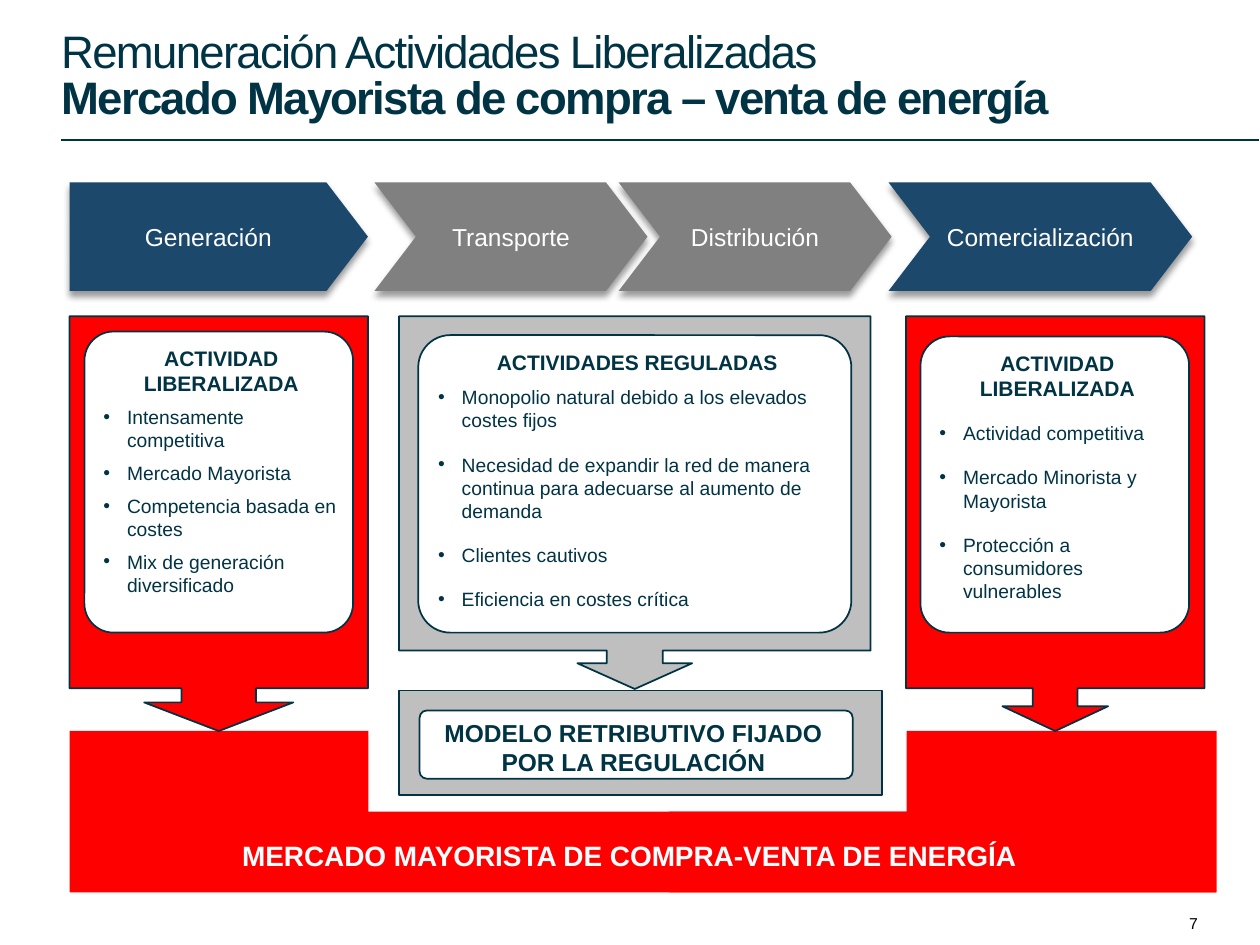
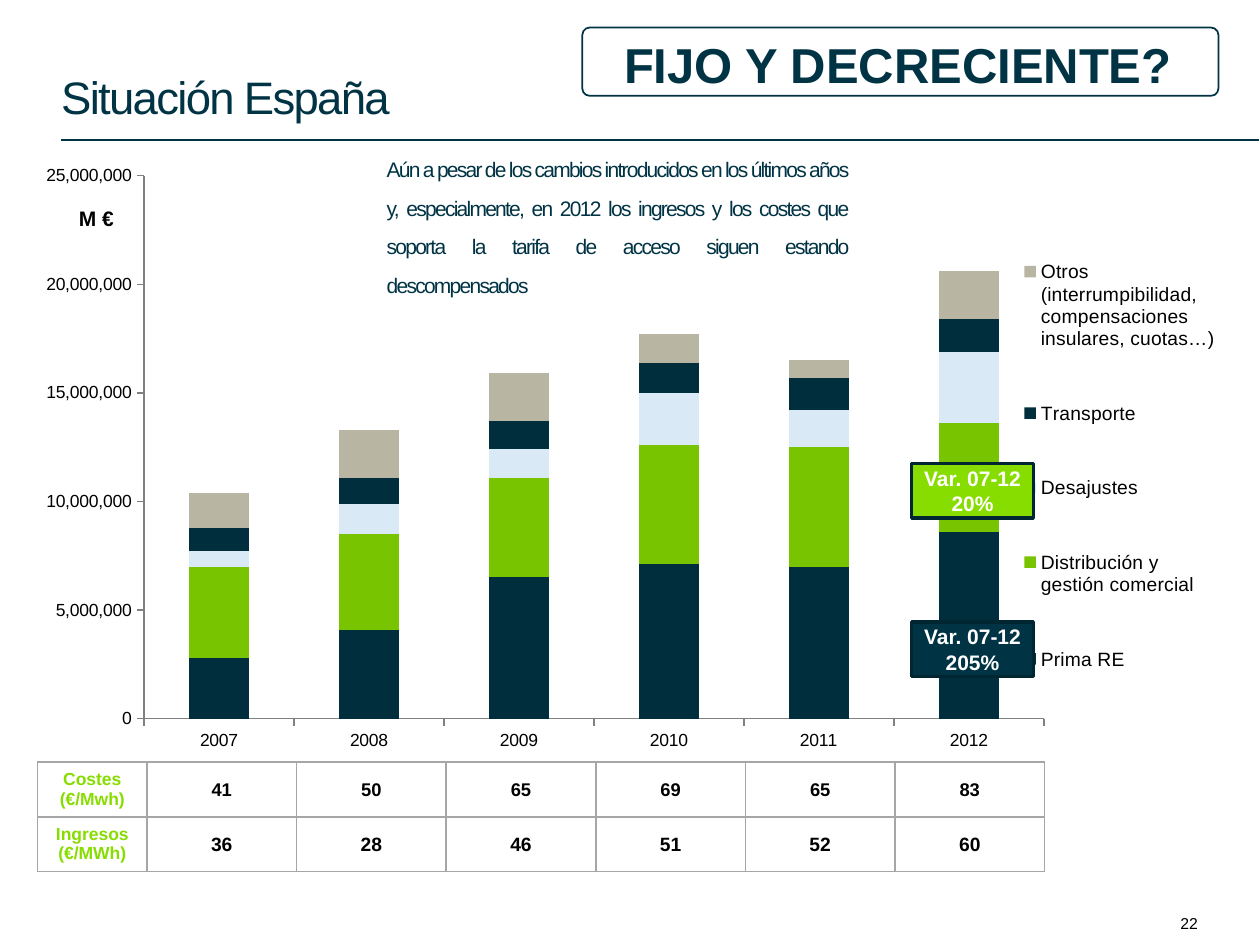
from lxml.etree import SubElement
from pptx import Presentation
from pptx.chart.data import CategoryChartData
from pptx.dml.color import RGBColor
from pptx.enum.chart import XL_CHART_TYPE as ChartType, XL_LEGEND_POSITION as LegendPosition
from pptx.enum.chart import XL_TICK_MARK as TickMark
from pptx.enum.shapes import MSO_CONNECTOR as Connector, MSO_SHAPE as Shape
from pptx.enum.text import MSO_ANCHOR as Anchor, PP_ALIGN as Align
from pptx.oxml.ns import qn
from pptx.util import Pt

TEAL = RGBColor(0x00, 0x33, 0x44)
DEEP_TEAL = RGBColor(0x00, 0x26, 0x32)
BLUE = RGBColor(0x1C, 0x48, 0x6B)
RED = RGBColor(0xFF, 0x00, 0x00)
GREEN = RGBColor(0x88, 0xDD, 0x00)
GRAY = RGBColor(0x80, 0x80, 0x80)
LIGHT_GRAY = RGBColor(0xBF, 0xBF, 0xBF)
BORDER_GRAY = RGBColor(0xA6, 0xA6, 0xA6)
WHITE = RGBColor(0xFF, 0xFF, 0xFF)
BLACK = RGBColor(0x00, 0x00, 0x00)
BAR_TEAL = RGBColor(0x00, 0x2E, 0x3D)
BAR_GREEN = RGBColor(0x78, 0xC4, 0x00)
BAR_SKY = RGBColor(0xD9, 0xE9, 0xF5)
BAR_SAND = RGBColor(0xB8, 0xB6, 0xA3)

FONT = "Arial"
ROUNDING = 0.108
BANNER_INSETS = (0, 3, 3, 0)
PANEL_INSETS = (6, 3, 3, 3)
TITLE_INSETS = (0, 3.6, 7.2, 0)


def write(frame, text, size=12, color=TEAL, bold=False, align=Align.LEFT,
          before=0, after=0, line=None, tracking=0, bullet=False):
    """Add one paragraph, using the frame's empty first one if it is free."""
    first = frame.paragraphs[0]
    paragraph = frame.add_paragraph() if first.runs else first
    if bullet:
        properties = paragraph._p.get_or_add_pPr()
        properties.set("marL", str(Pt(13.5)))
        properties.set("indent", str(-Pt(13.5)))
        SubElement(properties, qn("a:buFont")).set("typeface", FONT)
        SubElement(properties, qn("a:buChar")).set("char", "•")
    paragraph.alignment = align
    paragraph.space_before, paragraph.space_after = Pt(before), Pt(after)
    if line:
        paragraph.line_spacing = Pt(line)
    run = paragraph.add_run()
    run.text = text
    run.font.name, run.font.size = FONT, Pt(size)
    run.font.bold, run.font.color.rgb = bold, color
    if tracking:
        run._r.get_or_add_rPr().set("spc", str(tracking * 100))


def place(parent, index, x, y, width, height):
    """Give a chart part a manual layout, in fractions of the chart."""
    for layout in parent.findall(qn("c:layout")):
        parent.remove(layout)
    layout = SubElement(parent, qn("c:layout"))
    parent.insert(index, layout)
    manual = SubElement(layout, qn("c:manualLayout"))
    values = {"xMode": "edge", "yMode": "edge", "x": x, "y": y, "w": width, "h": height}
    if index == 0:
        values = {"layoutTarget": "inner", **values}
    for name, value in values.items():
        SubElement(manual, qn("c:" + name)).set("val", str(value))


class Deck:
    def __init__(self):
        self.presentation = Presentation()
        self.presentation.slide_width, self.presentation.slide_height = Pt(720), Pt(540)
        self.slide = None

    def start(self, number, *title):
        """Add a slide with its rule, title and number; title holds (text, bold)."""
        self.slide = self.presentation.slides.add_slide(self.presentation.slide_layouts[6])
        rule = self.slide.shapes.add_connector(Connector.STRAIGHT, Pt(35), Pt(80), Pt(719.5), Pt(80))
        rule.line.color.rgb, rule.line.width = TEAL, Pt(0.75)
        SubElement(rule._element.spPr, qn("a:effectLst"))
        frame = self.text_box(35, 8.5, 648, 62, TITLE_INSETS, Anchor.BOTTOM)
        for text, bold in title:
            write(frame, text, size=26, bold=bold, line=26, tracking=-1)
        frame = self.text_box(642, 518, 42.5, 19.5, (7.2, 3.6, 0, 3.6), Anchor.MIDDLE)
        write(frame, number, size=9, color=BLACK, align=Align.RIGHT)

    def prepare(self, frame, insets, anchor):
        frame.word_wrap = True
        frame.vertical_anchor = anchor
        (frame.margin_left, frame.margin_top,
         frame.margin_right, frame.margin_bottom) = map(Pt, insets)
        return frame

    def text_box(self, left, top, width, height, insets=(7.2, 3.6, 7.2, 3.6), anchor=Anchor.TOP):
        box = self.slide.shapes.add_textbox(Pt(left), Pt(top), Pt(width), Pt(height))
        return self.prepare(box.text_frame, insets, anchor)

    def shape(self, kind, left, top, width, height, fill=None, line=None, weight=1,
              adjust=(), insets=(7.2, 3.6, 7.2, 3.6), anchor=Anchor.MIDDLE):
        shape = self.slide.shapes.add_shape(kind, Pt(left), Pt(top), Pt(width), Pt(height))
        shape.shadow.inherit = False
        for index, value in enumerate(adjust):
            shape.adjustments[index] = value
        if fill is None:
            shape.fill.background()
        else:
            shape.fill.solid()
            shape.fill.fore_color.rgb = fill
        if line is None:
            shape.line.fill.background()
        else:
            shape.line.color.rgb, shape.line.width = line, Pt(weight)
        self.prepare(shape.text_frame, insets, anchor)
        return shape

    def step(self, kind, left, width, text, fill):
        """Process arrow with a soft shadow below."""
        shape = self.shape(kind, left, 104.25, width, 62, fill, adjust=[0.382])
        shadow = SubElement(shape._element.spPr.find(qn("a:effectLst")), qn("a:outerShdw"),
                            blurRad=str(Pt(4)), dist=str(Pt(3)), dir="5400000", rotWithShape="0")
        color = SubElement(shadow, qn("a:srgbClr"), val="000000")
        SubElement(color, qn("a:alpha"), val="40000")
        write(shape.text_frame, text, size=14, color=WHITE, align=Align.CENTER)

    def panel(self, left, top, width, height, heading, bullets, before, after=0):
        """Rounded card with a heading and a bulleted list."""
        frame = self.shape(Shape.ROUNDED_RECTANGLE, left, top, width, height, WHITE, TEAL,
                           adjust=[ROUNDING], insets=PANEL_INSETS, anchor=Anchor.TOP).text_frame
        write(frame, heading, bold=True, align=Align.CENTER)
        for text in bullets:
            write(frame, text, size=11, before=before, after=after, bullet=True)

    def banner(self, left, top, width, height, text, size, fill=WHITE, line=TEAL, color=TEAL):
        shape = self.shape(Shape.ROUNDED_RECTANGLE, left, top, width, height, fill, line,
                           adjust=[ROUNDING], insets=BANNER_INSETS)
        write(shape.text_frame, text, size=size, color=color, bold=True, align=Align.CENTER)

    def variation(self, top, value, fill):
        """Tag laid over the last column of the chart."""
        frame = self.shape(Shape.RECTANGLE, 521, top, 69.5, 31, fill, DEEP_TEAL, 2,
                           insets=(0, 3.6, 0, 3.6)).text_frame
        for text in ("Var. 07-12", value):
            write(frame, text, color=WHITE, bold=True, align=Align.CENTER)

    def stacked_chart(self, left, top, width, height, categories, series):
        """Stacked columns; series holds (name, values, colour)."""
        data = CategoryChartData(number_format="#,##0")
        data.categories = categories
        for name, values, _ in series:
            data.add_series(name, values)
        chart = self.slide.shapes.add_chart(ChartType.COLUMN_STACKED, Pt(left), Pt(top),
                                            Pt(width), Pt(height), data).chart
        chart.has_title = False
        chart.font.name, chart.font.size = FONT, Pt(10)
        chart.font.color.rgb = BLACK
        plot = chart.plots[0]
        plot.gap_width, plot.overlap, plot.vary_by_categories = 150, 100, False
        for bars, (_, _, color) in zip(plot.series, series):
            bars.format.fill.solid()
            bars.format.fill.fore_color.rgb = color
        for axis in (chart.category_axis, chart.value_axis):
            axis.has_major_gridlines = False
            axis.major_tick_mark, axis.minor_tick_mark = TickMark.OUTSIDE, TickMark.NONE
            axis.format.line.color.rgb = GRAY
        axis = chart.value_axis
        axis.minimum_scale, axis.maximum_scale, axis.major_unit = 0, 25000000, 5000000
        axis.tick_labels.number_format = "#,##0"
        axis.tick_labels.number_format_is_linked = False
        chart.has_legend = True
        legend = chart.legend
        legend.position, legend.include_in_layout = LegendPosition.RIGHT, False
        legend.font.name, legend.font.size = FONT, Pt(11)
        legend.font.color.rgb = BLACK
        place(chart._chartSpace.chart.plotArea, 0, 0.095, 0.026, 0.751, 0.898)
        place(legend._element, 1, 0.84, 0.08, 0.16, 0.85)

    def table(self, left, top, label_width, value_width, row_height, rows):
        """Bordered grid; rows holds (label, values, value size)."""
        columns = 1 + len(rows[0][1])
        table = self.slide.shapes.add_table(
            len(rows), columns, Pt(left), Pt(top),
            Pt(label_width + value_width * (columns - 1)), Pt(row_height * len(rows))).table
        table.first_row = table.horz_banding = False
        for index, column in enumerate(table.columns):
            column.width = Pt(value_width if index else label_width)
        for row_index, (label, values, size) in enumerate(rows):
            table.rows[row_index].height = Pt(row_height)
            for index, value in enumerate([label, *values]):
                cell = table.cell(row_index, index)
                cell.vertical_anchor = Anchor.MIDDLE
                insets = (0.72, 0.72, 0.72, 0) if index else (0, 3.6, 0, 3.6)
                (cell.margin_left, cell.margin_top,
                 cell.margin_right, cell.margin_bottom) = map(Pt, insets)
                write(cell.text_frame, str(value), size=size if index else 10,
                      color=BLACK if index else GREEN, bold=True, align=Align.CENTER)
                properties = cell._tc.get_or_add_tcPr()
                for side in ("lnL", "lnR", "lnT", "lnB"):
                    border = SubElement(properties, qn("a:" + side), w=str(Pt(1)))
                    fill = SubElement(border, qn("a:solidFill"))
                    SubElement(fill, qn("a:srgbClr"), val=str(BORDER_GRAY))
                cell.fill.background()


def market_slide(deck):
    deck.start("7", ("Remuneración Actividades Liberalizadas", False),
               ("Mercado Mayorista de compra – venta de energía", True))

    # Wholesale market base: two L shapes facing each other
    deck.shape(Shape.CORNER, 39.75, 417.75, 655, 92.25, RED, adjust=[0.5, 1.852])
    right_base = deck.shape(Shape.CORNER, 382.25, 417.75, 313, 92.25, RED, adjust=[0.5, 1.92])
    right_base._element.spPr.xfrm.set("flipH", "1")

    # Callouts pointing down
    for left, width, height, fill, adjust in (
            (517.75, 170.5, 237, RED, [0.15, 0.177, 0.083, 0.897]),
            (228, 269.5, 213, LIGHT_GRAY, [0.15, 0.154, 0.069, 0.897]),
            (39.75, 170.5, 237, RED, [0.25, 0.25, 0.096, 0.897])):
        deck.shape(Shape.DOWN_ARROW_CALLOUT, left, 180.75, width, height, fill, TEAL, adjust=adjust)

    # Value chain
    deck.step(Shape.PENTAGON, 39.75, 170.5, "Generación", BLUE)
    deck.step(Shape.CHEVRON, 214, 156, "Transporte", GRAY)
    deck.step(Shape.CHEVRON, 353.5, 156, "Distribución", GRAY)
    deck.step(Shape.CHEVRON, 507.75, 173.5, "Comercialización", BLUE)

    # Activity cards
    deck.panel(48.25, 189.5, 153.5, 172, "ACTIVIDAD LIBERALIZADA", [
        "Intensamente competitiva", "Mercado Mayorista",
        "Competencia basada en costes", "Mix de generación diversificado"], before=5.5)
    deck.panel(239, 191.5, 247.5, 170, "ACTIVIDADES REGULADAS", [
        "Monopolio natural debido a los elevados costes fijos",
        "Necesidad de expandir la red de manera continua para adecuarse al aumento de demanda",
        "Clientes cautivos", "Eficiencia en costes crítica"], before=6, after=6)
    deck.panel(526, 192.25, 153.5, 169.25, "ACTIVIDAD LIBERALIZADA", [
        "Actividad competitiva", "Mercado Minorista y Mayorista",
        "Protección a consumidores vulnerables"], before=12)

    # Banners
    deck.banner(39.75, 472.5, 643, 29.5, "MERCADO MAYORISTA DE COMPRA-VENTA DE ENERGÍA", 16,
                fill=None, line=None, color=WHITE)
    deck.shape(Shape.RECTANGLE, 228, 394.5, 276, 60, LIGHT_GRAY, TEAL)
    deck.banner(239.75, 406, 247.5, 39, "MODELO RETRIBUTIVO FIJADO POR LA REGULACIÓN", 14)


def spain_slide(deck):
    deck.start("22", ("Situación España", False))

    # Access costs by year
    deck.stacked_chart(17.25, 91.5, 684.75, 345.5, [str(year) for year in range(2007, 2013)], [
        ("Prima RE", (2800000, 4100000, 6500000, 7100000, 7000000, 8600000), BAR_TEAL),
        ("Distribución y gestión comercial",
         (4200000, 4400000, 4600000, 5500000, 5500000, 5000000), BAR_GREEN),
        ("Desajustes", (700000, 1400000, 1300000, 2400000, 1700000, 3300000), BAR_SKY),
        ("Transporte", (1100000, 1200000, 1300000, 1400000, 1500000, 1500000), BAR_TEAL),
        ("Otros (interrumpibilidad, compensaciones insulares, cuotas…)",
         (1600000, 2200000, 2200000, 1300000, 800000, 2200000), BAR_SAND)])
    write(deck.text_box(38, 113.75, 37, 21.75), "M €", color=BLACK, bold=True)
    deck.variation(355.5, "205%", TEAL)
    deck.variation(265, "20%", GREEN)

    # Unit costs and income under the chart columns
    deck.table(21.5, 435.5, 62.5, 85.5, 31.25, [
        ("Costes (€/Mwh)", (41, 50, 65, 69, 65, 83), 10.5),
        ("Ingresos (€/MWh)", (36, 28, 46, 51, 52, 60), 11)])

    # Message
    frame = deck.text_box(221, 108, 270.75, 62, TITLE_INSETS, Anchor.BOTTOM)
    write(frame, "Aún a pesar de los cambios introducidos en los últimos años y, especialmente, "
          "en 2012 los ingresos y los costes que soporta la tarifa de acceso siguen estando "
          "descompensados", align=Align.JUSTIFY, line=22, tracking=-1)
    deck.banner(332.75, 15.75, 363.5, 39, "FIJO Y DECRECIENTE?", 28)


def main():
    deck = Deck()
    market_slide(deck)
    spain_slide(deck)
    deck.presentation.save("out.pptx")


if __name__ == "__main__":
    main()
